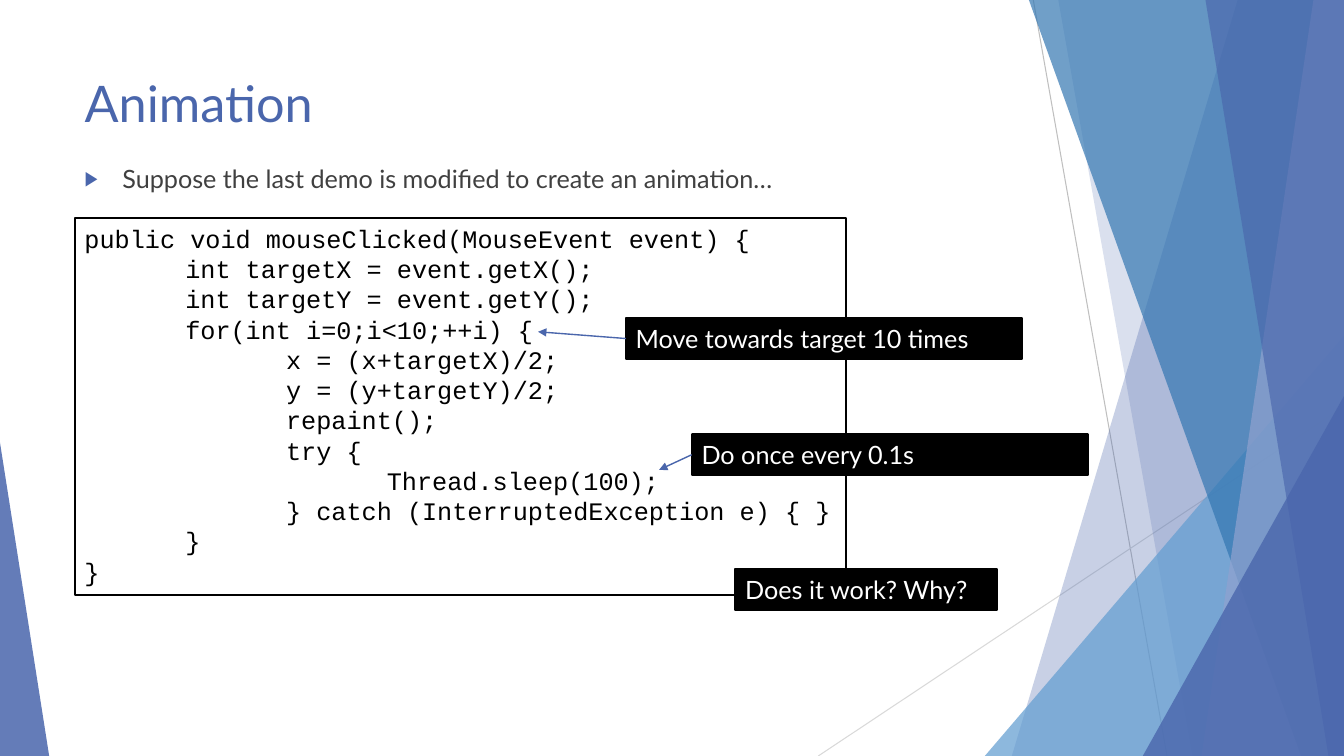
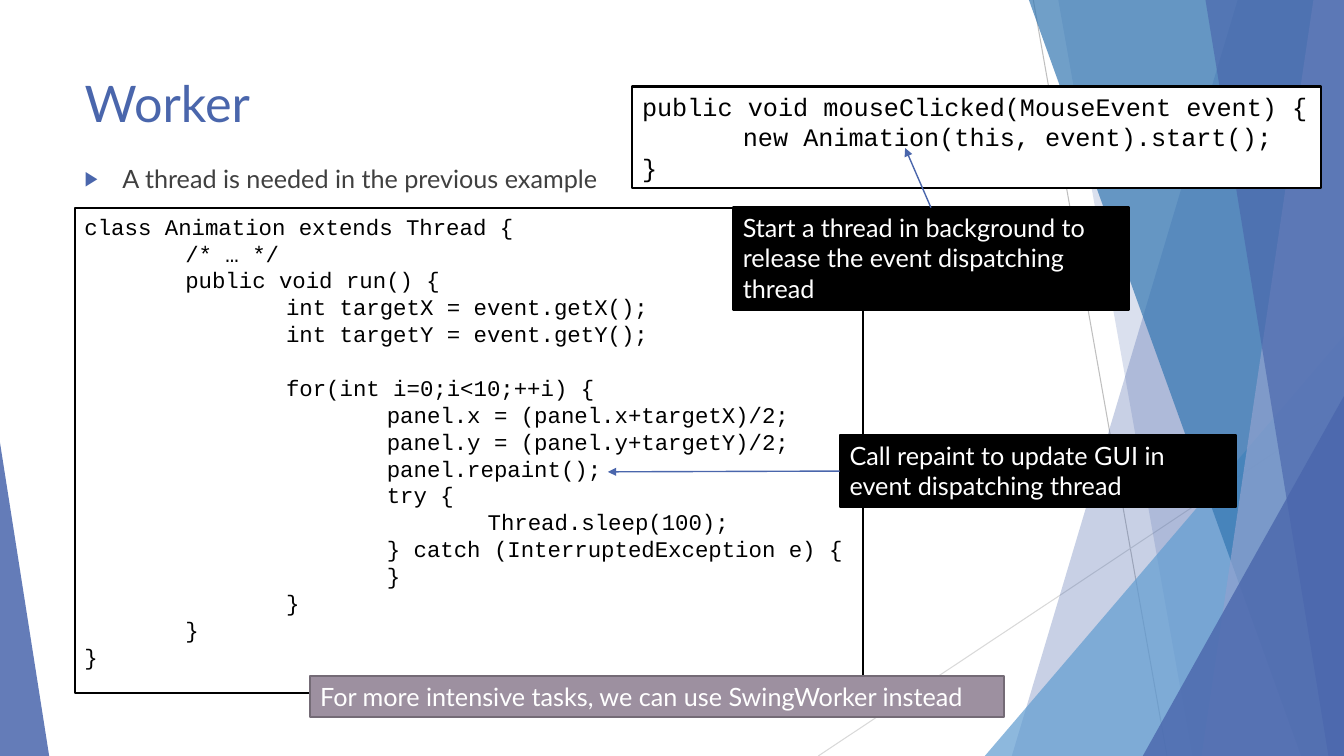
"""Two slides on animation and worker threads."""
from dataclasses import dataclass
from typing import Optional

import pptx
import pptx.dml.color
import pptx.enum.shapes
import pptx.enum.text
import pptx.oxml.ns
import pptx.util
from lxml import etree

Cm = pptx.util.Cm
Pt = pptx.util.Pt
qn = pptx.oxml.ns.qn

WIDE, TALL = 33.87, 19.05
BLUE, SKY, DEEP, PALE = "4A66AC", "629DD1", "3477B2", "90A2CF"
BLACK, WHITE, GREY = "000000", "FFFFFF", "404040"
SANS, MONO = "Lato", "Courier New"
LEFT, LINE, NOTE = 1.88, 1.02, 9.98  # left margin, one-line note height, note width
TAB = 2.54
TOP_SITE, LEFT_SITE = 0, 1


@dataclass
class Band:
    """A band from a slanted edge to the right side of the slide."""
    top: float
    foot: float
    color: str
    alpha: int


@dataclass
class Wedge:
    """A right triangle standing on the bottom of the slide."""
    left: float
    top: float
    wide: float
    peak: float
    color: str
    alpha: int


@dataclass
class Box:
    """A framed text box, with an arrow to tip where one is given."""
    text: str
    left: float
    top: float
    wide: float
    tall: float = LINE
    font: str = SANS
    size: int = 18
    ink: str = WHITE
    fill: str = BLACK
    edge: str = BLACK
    wrap: bool = True
    tip: Optional[tuple[float, float]] = None
    site: int = LEFT_SITE


@dataclass
class Page:
    """The content of one slide."""
    title: str
    point: str
    boxes: list[Box]


def code(text: str, left: float, top: float, wide: float, tall: float,
         size: int = 18) -> Box:
    """Describe a white box of program text."""
    return Box(text, left, top, wide, tall, font=MONO, size=size,
               ink=BLACK, fill=WHITE, wrap=False)


DECOR = [
    Band(31.19, 25.5, BLUE, 30),
    Band(26.67, 30.05, BLUE, 20),
    Wedge(24.82, 8.46, 9.05, 1, SKY, 72),
    Band(25.93, 32.79, DEEP, 70),
    Band(33.1, 30.28, PALE, 70),
    Band(30.38, 33.48, BLUE, 65),
    Wedge(28.8, 9.98, 5.07, 1, BLUE, 80),
    Wedge(0, 11.15, 1.24, 0, BLUE, 85),
]

LOOP = """public void mouseClicked(MouseEvent event) {
\tint targetX = event.getX();
\tint targetY = event.getY();
\tfor(int i=0;i<10;++i) {
\t\tx = (x+targetX)/2;
\t\ty = (y+targetY)/2;
\t\trepaint();
\t\ttry {
\t\t\tThread.sleep(100);
\t\t} catch (InterruptedException e) { }
\t}
}"""

START = """public void mouseClicked(MouseEvent event) {
\tnew Animation(this, event).start();
}"""

THREAD = """class Animation extends Thread {
\t/* … */
\tpublic void run() {
\t\tint targetX = event.getX();
\t\tint targetY = event.getY();
\t\t
\t\tfor(int i=0;i<10;++i) {
\t\t\tpanel.x = (panel.x+targetX)/2;
\t\t\tpanel.y = (panel.y+targetY)/2;
\t\t\tpanel.repaint();
\t\t\ttry {
\t\t\t\tThread.sleep(100);
\t\t\t} catch (InterruptedException e) {
\t\t\t}
\t\t}
\t}
}"""

PAGES = [
    Page("Animation", "Suppose the last demo is modified to create an animation…", [
        code(LOOP, LEFT, 5.5, 19.44, 9.5),
        Box("Does it work? Why?", 18.53, 14.35, 6.6),
        Box("Move towards target 10 times", 15.77, 8.02, NOTE, tip=(13.56, 8.36)),
        Box("Do once every 0.1s", 17.43, 10.95, NOTE, tip=(16.61, 11.84)),
    ]),
    Page("Worker", "A thread is needed in the previous example", [
        code(START, 15.93, 2.18, 17.37, 2.57),
        code(THREAD, LEFT, 5.24, 19.86, 12.22, size=16),
        Box("Call repaint to update GUI in event dispatching thread",
            21.16, 10.97, NOTE, 1.8, tip=(15.32, 11.89)),
        Box("Start a thread in background to release the event dispatching thread",
            18.47, 5.23, NOTE, 2.57, tip=(22.81, 3.73), site=TOP_SITE),
        Box("For more intensive tasks, we can use SwingWorker instead",
            7.82, 17.04, 17.48, fill="9D90A0", edge="746B76"),
    ]),
]


def rgb(color: str) -> pptx.dml.color.RGBColor:
    """Turn a hex string into a colour."""
    return pptx.dml.color.RGBColor.from_string(color)


def write(frame, text: str, *, font: str = SANS, size: int = 18,
          color: str = GREY, before: int = 0) -> None:
    """Fill a text frame with left-aligned text in one format."""
    frame.text = text
    frame.vertical_anchor = pptx.enum.text.MSO_ANCHOR.TOP
    for para in frame.paragraphs:
        para.alignment = pptx.enum.text.PP_ALIGN.LEFT
        para.space_before = Pt(before)
        para._p.get_or_add_pPr().set("defTabSz", str(Cm(TAB)))
        for run in para.runs:
            run.font.name = font
            run.font.size = Pt(size)
            run.font.color.rgb = rgb(color)


def mark(para) -> None:
    """Give a paragraph the blue arrow bullet."""
    props = para._p.get_or_add_pPr()
    indent = Cm(0.95)
    props.set("marL", str(indent))
    props.set("indent", str(-indent))
    tint = etree.SubElement(props, qn("a:buClr"))
    etree.SubElement(tint, qn("a:srgbClr"), val=BLUE)
    etree.SubElement(props, qn("a:buSzPct"), val="80000")
    etree.SubElement(props, qn("a:buFont"), typeface="Arial")
    etree.SubElement(props, qn("a:buChar"), char="▶")


def paint(shape, color: str, alpha: int) -> None:
    """Fill a shape with a see-through colour and no outline."""
    shape.shadow.inherit = False
    shape.fill.solid()
    shape.fill.fore_color.rgb = rgb(color)
    shape.line.fill.background()
    tint = next(shape.element.iter(qn("a:srgbClr")))
    etree.SubElement(tint, qn("a:alpha"), val=str(alpha * 1000))


def join(slide, start: tuple[float, float], end: tuple[float, float],
         color: str, width: float):
    """Draw a straight line without a shadow."""
    line = slide.shapes.add_connector(
        pptx.enum.shapes.MSO_CONNECTOR.STRAIGHT, *map(Cm, start + end))
    line.line.color.rgb = rgb(color)
    line.line.width = Pt(width)
    etree.SubElement(line.element.spPr, qn("a:effectLst"))
    return line


def band(slide, item: Band):
    """Draw one slanted band."""
    pen = slide.shapes.build_freeform(Cm(item.top), 0)
    pen.add_line_segments([(Cm(WIDE), 0), (Cm(WIDE), Cm(TALL)),
                           (Cm(item.foot), Cm(TALL))])
    shape = pen.convert_to_shape()
    paint(shape, item.color, item.alpha)
    return shape


def wedge(slide, item: Wedge):
    """Draw one corner triangle."""
    shape = slide.shapes.add_shape(
        pptx.enum.shapes.MSO_SHAPE.ISOSCELES_TRIANGLE, Cm(item.left),
        Cm(item.top), Cm(item.wide), Cm(TALL - item.top))
    shape.adjustments[0] = item.peak
    paint(shape, item.color, item.alpha)
    return shape


def place(shape, left: float, top: float, wide: float, tall: float) -> None:
    """Move and size a shape."""
    shape.left, shape.top = Cm(left), Cm(top)
    shape.width, shape.height = Cm(wide), Cm(tall)


def dress(layout, slide) -> None:
    """Set up the layout, using the slide to draw its backdrop."""
    for holder in list(layout.placeholders)[2:]:
        holder.element.getparent().remove(holder.element)
    title, body = layout.placeholders
    place(title, LEFT, 1.7, 23.88, 2.03)
    place(body, LEFT, 3.99, 23.88, 12.8)
    parts = [join(slide, (26.04, 0), (29.41, TALL), "BFBFBF", 0.75),
             join(slide, (WIDE, 10.24), (20.62, TALL), "D9D9D9", 0.75)]
    parts += [band(slide, item) if isinstance(item, Band) else wedge(slide, item)
              for item in DECOR]
    for part in parts:
        title.element.addprevious(part.element)


def point(slide, note, item: Box) -> None:
    """Draw the arrow from a note to the code it explains."""
    arrow = join(slide, item.tip, item.tip, BLUE, 1)
    arrow.begin_connect(note, item.site)
    edge = arrow.element.spPr.find(qn("a:ln"))
    etree.SubElement(edge, qn("a:tailEnd"), type="triangle")


def draw(slide, item: Box) -> None:
    """Draw a framed text box and its arrow."""
    shape = slide.shapes.add_textbox(Cm(item.left), Cm(item.top),
                                     Cm(item.wide), Cm(item.tall))
    shape.fill.solid()
    shape.fill.fore_color.rgb = rgb(item.fill)
    shape.line.color.rgb = rgb(item.edge)
    shape.line.width = Pt(1.5)
    frame = shape.text_frame
    frame.word_wrap = item.wrap
    frame.auto_size = pptx.enum.text.MSO_AUTO_SIZE.SHAPE_TO_FIT_TEXT
    write(frame, item.text, font=item.font, size=item.size, color=item.ink)
    if item.tip:
        point(slide, shape, item)


def fill(slide, page: Page) -> None:
    """Write the title, the bullet and the boxes of a slide."""
    title, body = slide.placeholders
    write(title.text_frame, page.title, size=36, color=BLUE)
    write(body.text_frame, page.point, before=10)
    mark(body.text_frame.paragraphs[0])
    for holder in (title, body):
        holder.text_frame.auto_size = pptx.enum.text.MSO_AUTO_SIZE.NONE
    for item in page.boxes:
        draw(slide, item)


def main() -> None:
    """Build and save the deck."""
    deck = pptx.Presentation()
    deck.slide_width, deck.slide_height = Cm(WIDE), Cm(TALL)
    layout = deck.slide_layouts[1]
    slides = [deck.slides.add_slide(layout) for _ in PAGES]
    dress(layout, slides[0])
    for slide, page in zip(slides, PAGES):
        fill(slide, page)
    deck.save("out.pptx")


main()
